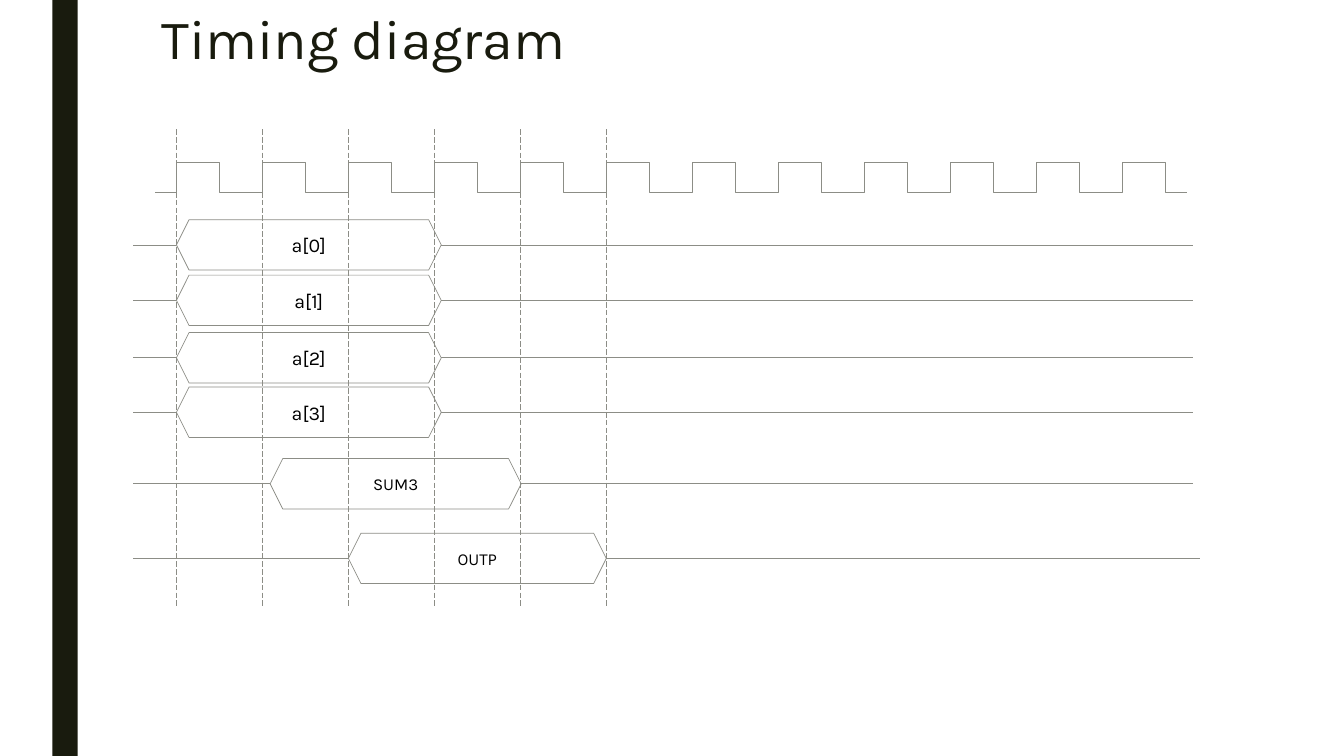
from dataclasses import dataclass

from lxml import etree
from pptx import Presentation
from pptx import util as u
from pptx.dml.color import RGBColor
from pptx.enum import dml, shapes, text
from pptx.oxml import ns

COLOURS = {"ink": "191B0E", "trace": "8C8D86", "label": "000000"}
FONT = "Karla"
WIDTH, HEIGHT = 13.33, 7.5

# Grid: one column per clock cycle, one row per bus height
FIRST_EDGE = 1.75
CYCLE = 9.38 / 11
ROW = HEIGHT / 15
PULSES, MARKED_EDGES = 12, 6
CLOCK_HIGH, CLOCK_LOW = 3.22, 3.82
TRACE_START = -0.5


@dataclass
class Signal:
    name: str
    row: float
    start: float
    stop: float
    trace_end: float = 11.82
    size: int = 14


SIGNALS = [
    Signal("a[0]", 4.86, 0, 3.08),
    Signal("a[1]", 5.96, 0, 3.08),
    Signal("a[2]", 7.1, 0, 3.08),
    Signal("a[3]", 8.18, 0, 3.08),
    Signal("SUM3", 9.6, 1.09, 4.01, size=12),
    Signal("OUTP", 11.08, 2, 5, trace_end=11.9, size=12),
]


def colour(name: str) -> RGBColor:
    return RGBColor.from_string(COLOURS[name])


def col(cycles: float) -> u.Emu:
    return u.Inches(FIRST_EDGE + cycles * CYCLE)


def row(rows: float) -> u.Emu:
    return u.Inches(rows * ROW)


def apply(target, formats: dict) -> None:
    for attribute, value in formats.items():
        setattr(target, attribute, value)


def write(frame, words: str, size: float, ink: str, frame_format: dict,
          paragraph_format: dict) -> None:
    apply(frame, frame_format)
    paragraph = frame.paragraphs[0]
    apply(paragraph, paragraph_format)
    run = paragraph.add_run()
    run.text = words
    apply(run.font, {"name": FONT, "size": u.Pt(size), "bold": False})
    run.font.color.rgb = colour(ink)


def style_line(line, dash=None) -> None:
    line.color.rgb = colour("trace")
    apply(line, {"width": u.Pt(0.5), "dash_style": dash})


def draw_trace(slide, start: tuple, end: tuple,
               kind=shapes.MSO_CONNECTOR.STRAIGHT, dash=None) -> None:
    trace = slide.shapes.add_connector(
        kind, col(start[0]), row(start[1]), col(end[0]), row(end[1]))
    style_line(trace.line, dash)
    etree.SubElement(trace._element.spPr, ns.qn("a:effectLst"))


def draw_clock(slide) -> None:
    for pulse in range(PULSES):
        middle = pulse + 0.25
        for side in (0.5, -0.5):
            draw_trace(slide, (middle, CLOCK_HIGH), (middle + side, CLOCK_LOW),
                       shapes.MSO_CONNECTOR.ELBOW)


def draw_signal(slide, signal: Signal) -> None:
    for start, end in ((TRACE_START, signal.start),
                       (signal.stop, signal.trace_end)):
        draw_trace(slide, (start, signal.row), (end, signal.row))
    bus = slide.shapes.add_shape(
        shapes.MSO_SHAPE.HEXAGON, col(signal.start), row(signal.row - 0.5),
        col(signal.stop) - col(signal.start), row(1))
    bus.shadow.inherit = False
    bus.fill.background()
    style_line(bus.line)
    write(bus.text_frame, signal.name, signal.size, "label",
          {"vertical_anchor": text.MSO_ANCHOR.MIDDLE, "word_wrap": True},
          {"alignment": text.PP_ALIGN.CENTER})


def draw_side_bar(slide) -> None:
    bar = slide.shapes.add_shape(
        shapes.MSO_SHAPE.RECTANGLE, u.Inches(0.52), 0,
        u.Inches(0.25), u.Inches(HEIGHT))
    bar.shadow.inherit = False
    bar.fill.solid()
    bar.fill.fore_color.rgb = colour("ink")
    bar.line.fill.background()


def draw_title(slide) -> None:
    title = slide.shapes.title
    apply(title, {"left": u.Inches(1.5), "top": u.Inches(0.09),
                  "width": u.Inches(10.5), "height": u.Inches(0.64)})
    write(title.text_frame, "Timing diagram", 39.6, "ink",
          {"vertical_anchor": text.MSO_ANCHOR.MIDDLE, "word_wrap": True,
           "auto_size": text.MSO_AUTO_SIZE.NONE},
          {"alignment": text.PP_ALIGN.LEFT, "line_spacing": 0.89})


def main() -> None:
    deck = Presentation()
    apply(deck, {"slide_width": u.Inches(WIDTH),
                 "slide_height": u.Inches(HEIGHT)})
    slide = deck.slides.add_slide(deck.slide_layouts[5])

    # Frame of the slide
    draw_side_bar(slide)
    draw_title(slide)

    # Waveforms
    draw_clock(slide)
    for signal in SIGNALS:
        draw_signal(slide, signal)

    # Clock edges across all signals
    for edge in range(MARKED_EDGES):
        draw_trace(slide, (edge, 2.56), (edge, 12.04),
                   dash=dml.MSO_LINE.LONG_DASH)

    deck.save("out.pptx")


if __name__ == "__main__":
    main()
